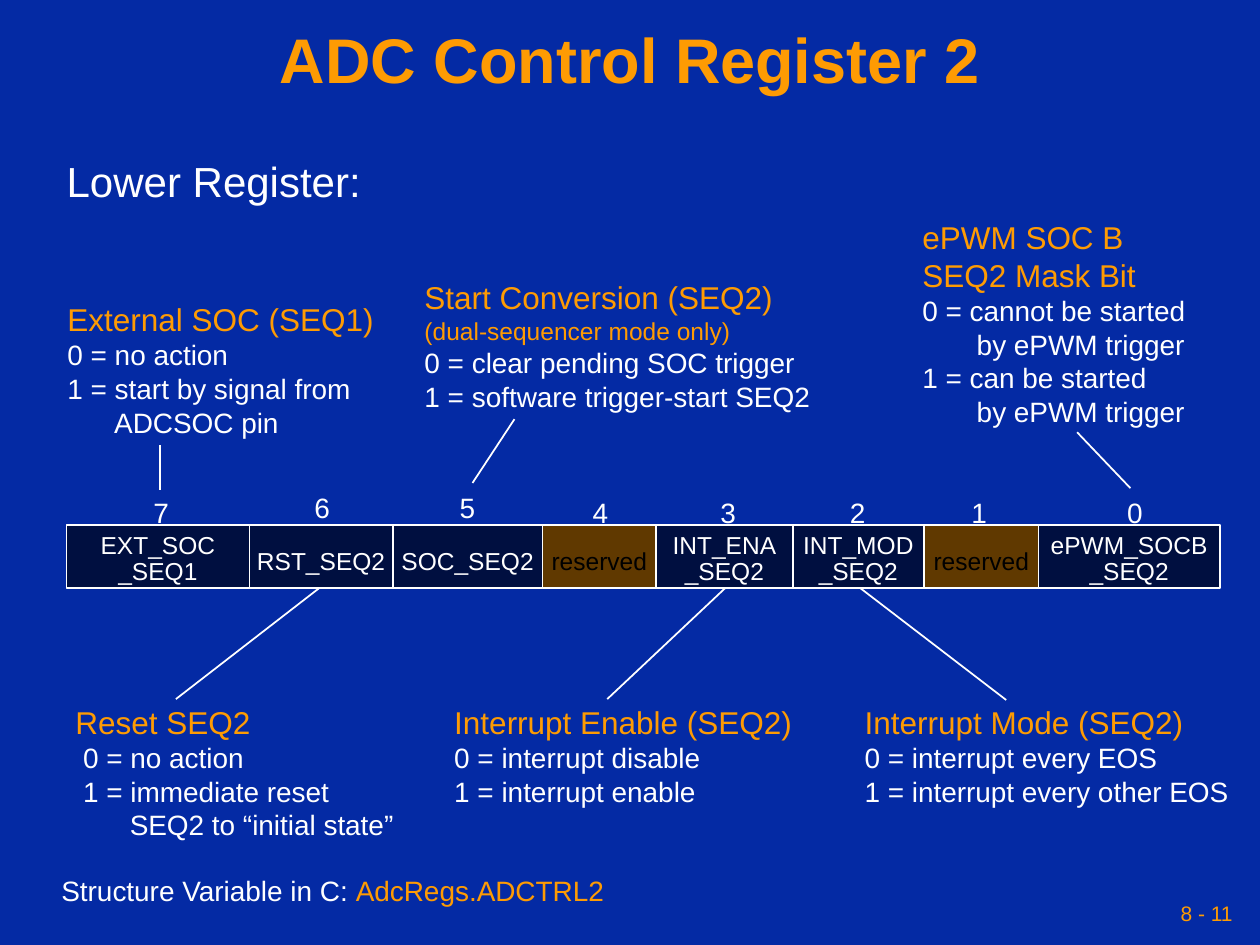
from pptx import Presentation
from pptx.dml.color import RGBColor
from pptx.enum import shapes, text
from pptx.oxml import parse_xml
from pptx.oxml.ns import nsdecls
from pptx.util import Pt

BLUE = RGBColor(0x04, 0x2A, 0xA4)
NAVY = RGBColor(0x00, 0x0F, 0x40)
BROWN = RGBColor(0x60, 0x39, 0x00)
ORANGE = RGBColor(0xFE, 0x9B, 0x03)
WHITE = RGBColor(0xFF, 0xFF, 0xFF)
BLACK = RGBColor(0x00, 0x00, 0x00)

LEFT, CENTER, RIGHT = text.PP_ALIGN.LEFT, text.PP_ALIGN.CENTER, text.PP_ALIGN.RIGHT
ROW_TOP, ROW_HEIGHT = 300, 36

CELL_EDGES = [38, 142.5, 224.5, 310, 375, 453, 528, 593.5, 697]
BITS = [
    (["EXT_SOC", "_SEQ1"], 92, 279.5),
    (["RST_SEQ2"], 184, 276.5),
    (["SOC_SEQ2"], 267, 276.5),
    (["reserved"], 343, 279.5),
    (["INT_ENA", "_SEQ2"], 416, 279.5),
    (["INT_MOD", "_SEQ2"], 490, 279.5),
    (["reserved"], 559.5, 279.5),
    (["ePWM_SOCB", "_SEQ2"], 648.5, 279.5),
]

HEADING, NOTE, VALUE = (18, ORANGE), (14, ORANGE), (16, WHITE)
CALLOUTS = [
    ((31.5, 168, 197, 86), [
        ("External SOC (SEQ1)", HEADING, 0), ("0 = no action", VALUE, 0),
        ("1 = start by signal from", VALUE, 0), ("ADCSOC pin", VALUE, 26.7)]),
    ((235.5, 155.5, 238, 84), [
        ("Start Conversion (SEQ2)", HEADING, 0), ("(dual-sequencer mode only)", NOTE, 0),
        ("0 = clear pending SOC trigger", VALUE, 0),
        ("1 = software trigger-start SEQ2", VALUE, 0)]),
    ((520, 121, 180, 127), [
        ("ePWM SOC B", HEADING, 0), ("SEQ2 Mask Bit", HEADING, 0),
        ("0 = cannot be started", VALUE, 0), ("by ePWM trigger", VALUE, 31.1),
        ("1 = can be started", VALUE, 0), ("by ePWM trigger", VALUE, 31.1)]),
    ((36, 398, 199, 86), [
        ("Reset SEQ2", HEADING, 0), ("0 = no action", VALUE, 4.4),
        ("1 = immediate reset", VALUE, 4.4),
        ("SEQ2 to “initial state”", VALUE, 31.1)]),
    ((252.5, 398, 210, 67), [
        ("Interrupt Enable (SEQ2)", HEADING, 0), ("0 = interrupt disable", VALUE, 0),
        ("1 = interrupt enable", VALUE, 0)]),
    ((487, 398, 225, 67), [
        ("Interrupt Mode (SEQ2)", HEADING, 0), ("0 = interrupt every EOS", VALUE, 0),
        ("1 = interrupt every other EOS", VALUE, 0)]),
]
LEADERS = [
    (91.5, 280, 91.5, 254.5), (270, 276, 294, 239.5), (646, 279, 615.5, 247),
    (182.5, 336, 100.5, 399.5), (414.5, 336, 347, 399.5), (491.5, 336, 575, 400),
]


def style(para, size, color, align=LEFT, indent=0):
    if indent:
        para._p.get_or_add_pPr().set("marL", str(Pt(indent)))
    para.alignment = align
    para.font.name = "Arial"
    para.font.size = Pt(size)
    para.font.color.rgb = color


def add_text(page, place, lines, align=LEFT):
    box = page.shapes.add_textbox(*map(Pt, place))
    frame = box.text_frame
    frame.word_wrap = True
    for index, (words, (size, color), indent) in enumerate(lines):
        para = frame.add_paragraph() if index else frame.paragraphs[0]
        para.text = words
        style(para, size, color, align, indent)
    return box


def add_cell(page, left, right, names):
    reserved = names == ["reserved"]
    cell = page.shapes.add_shape(shapes.MSO_SHAPE.RECTANGLE, Pt(left), Pt(ROW_TOP),
                                 Pt(right - left), Pt(ROW_HEIGHT))
    cell.shadow.inherit = False
    cell.fill.solid()
    cell.fill.fore_color.rgb = BROWN if reserved else NAVY
    cell.line.color.rgb = WHITE
    cell.line.width = Pt(1)
    frame = cell.text_frame
    frame.vertical_anchor = text.MSO_ANCHOR.MIDDLE
    frame.margin_left = frame.margin_right = frame.margin_bottom = 0
    frame.margin_top = Pt(5)
    for index, name in enumerate(names):
        para = frame.add_paragraph() if index else frame.paragraphs[0]
        para.text = name
        style(para, 14, BLACK if reserved else WHITE, CENTER)
        if len(names) > 1:
            para.line_spacing = Pt(13)
        if index:
            para.space_before = Pt(1.8)


def add_leader(page, ends):
    line = page.shapes.add_connector(shapes.MSO_CONNECTOR.STRAIGHT, *map(Pt, ends))
    line.line.color.rgb = WHITE
    line.line.width = Pt(1)
    line._element.spPr.append(parse_xml(f"<a:effectLst {nsdecls('a')}/>"))


def set_title(page, words):
    title = page.shapes.title
    title.left, title.top, title.width, title.height = map(Pt, (0, 12, 720, 48))
    title.text_frame.vertical_anchor = text.MSO_ANCHOR.MIDDLE
    para = title.text_frame.paragraphs[0]
    para.text = words
    para.line_spacing = 0.9
    style(para, 36, ORANGE, CENTER)
    para.font.bold = True


def add_structure_line(page):
    box = add_text(page, (28, 495.5, 360, 26.5), [("Structure Variable in C: ", VALUE, 0)])
    span = box.text_frame.paragraphs[0].add_run()
    span.text = "AdcRegs.ADCTRL2"
    span.font.color.rgb = ORANGE


def main():
    deck = Presentation()
    deck.slide_width, deck.slide_height = Pt(720), Pt(540)
    page = deck.slides.add_slide(deck.slide_layouts[5])
    page.background.fill.solid()
    page.background.fill.fore_color.rgb = BLUE

    set_title(page, "ADC Control Register 2")
    add_text(page, (31, 85.5, 184, 36), [("Lower Register:", (24, WHITE), 0)])
    for place, lines in CALLOUTS:
        add_text(page, place, lines)
    for index, (names, center, top) in enumerate(BITS):
        add_cell(page, CELL_EDGES[index], CELL_EDGES[index + 1], names)
        add_text(page, (center - 11.5, top, 23, 26.5), [(str(7 - index), VALUE, 0)], CENTER)
    for ends in LEADERS:
        add_leader(page, ends)
    add_structure_line(page)
    number = add_text(page, (492, 510, 216, 24), [("8 - 11", (12, ORANGE), 0)], RIGHT)
    number.text_frame.vertical_anchor = text.MSO_ANCHOR.MIDDLE
    number.text_frame.margin_right = Pt(3.6)
    deck.save("out.pptx")


if __name__ == "__main__":
    main()
